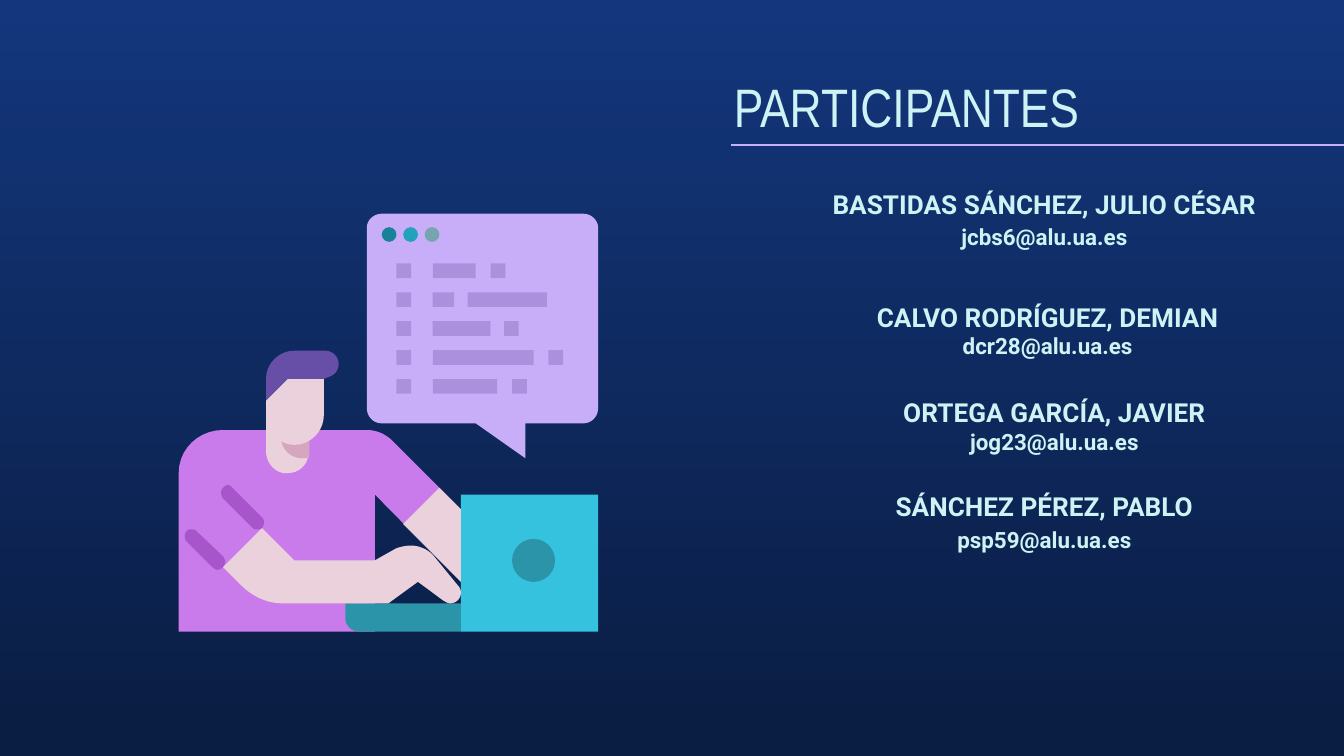
import pptx
import pptx.dml.color
import pptx.enum.shapes
import pptx.enum.text
import pptx.oxml
import pptx.oxml.ns
import pptx.util
from pptx.dml.color import RGBColor
from pptx.util import Inches

NAVY_TOP = RGBColor(0x13, 0x36, 0x7C)
NAVY_BOTTOM = RGBColor(0x0A, 0x1D, 0x42)
PALE_CYAN = RGBColor(0xCE, 0xF3, 0xF5)
LILAC = RGBColor(0xC8, 0xAE, 0xF8)
CODE_PURPLE = RGBColor(0xAB, 0x90, 0xDE)
SHIRT = RGBColor(0xCA, 0x7B, 0xEB)
SLEEVE = RGBColor(0xA8, 0x55, 0xCB)
SKIN = RGBColor(0xEA, 0xD1, 0xDC)
SKIN_SHADE = RGBColor(0xD5, 0xA6, 0xBD)
HAIR = RGBColor(0x67, 0x4E, 0xA7)
LAPTOP = RGBColor(0x35, 0xC2, 0xDF)
LAPTOP_SHADE = RGBColor(0x2B, 0x94, 0xA9)
WINDOW_BUTTONS = [RGBColor(0x19, 0x82, 0x98), RGBColor(0x22, 0xA2, 0xBC), RGBColor(0x76, 0xA5, 0xAF)]

SHIRT_OUTLINE = [(1.66, 3.2), (1.48, 3.2, 1.33, 3.34, 1.33, 3.52), (1.33, 4.7), (2.79, 4.7), (2.79, 3.68),
                 (3.43, 4.33), (3.43, 3.79), (2.92, 3.28), (2.87, 3.23, 2.8, 3.2, 2.73, 3.2)]
LOWER_SLEEVE = [(1.43, 3.94), (1.41, 3.94, 1.4, 3.94, 1.39, 3.95), (1.37, 3.97, 1.37, 4.01, 1.39, 4.03),
                (1.58, 4.22), (1.59, 4.23, 1.61, 4.24, 1.62, 4.24), (1.63, 4.24, 1.65, 4.23, 1.66, 4.22),
                (1.68, 4.2, 1.68, 4.17, 1.66, 4.14), (1.46, 3.95), (1.45, 3.94, 1.44, 3.94, 1.43, 3.94)]
UPPER_SLEEVE = [(1.7, 3.61), (1.68, 3.61, 1.67, 3.62, 1.66, 3.63), (1.64, 3.65, 1.64, 3.68, 1.66, 3.71),
                (1.88, 3.93), (1.89, 3.94, 1.9, 3.94, 1.91, 3.94), (1.93, 3.94, 1.94, 3.94, 1.95, 3.93),
                (1.97, 3.9, 1.97, 3.87, 1.95, 3.85), (1.73, 3.63), (1.72, 3.62, 1.71, 3.61, 1.7, 3.61)]
LAPTOP_BASE = [(2.57, 4.49), (2.57, 4.6), (2.57, 4.66, 2.62, 4.7, 2.68, 4.7), (3.43, 4.7), (3.43, 4.49)]
NECK = [(1.98, 3.04), (1.98, 3.36), (1.98, 3.44, 2.04, 3.51, 2.11, 3.52), (2.12, 3.52, 2.13, 3.52, 2.14, 3.52),
        (2.21, 3.52, 2.27, 3.48, 2.29, 3.41), (2.3, 3.4, 2.3, 3.38, 2.3, 3.36), (2.3, 3.04)]
NECK_SHADE = [(2.09, 3.04), (2.09, 3.25), (2.09, 3.34, 2.16, 3.41, 2.25, 3.41), (2.29, 3.41),
              (2.3, 3.4, 2.3, 3.38, 2.3, 3.36), (2.3, 3.04)]
NEAR_ARM = [(1.95, 3.93), (1.66, 4.22), (1.8, 4.36), (1.88, 4.44, 1.99, 4.49, 2.1, 4.49), (2.89, 4.49),
            (3.11, 4.33), (3.3, 4.47), (3.32, 4.48, 3.33, 4.49, 3.35, 4.49), (3.4, 4.49, 3.43, 4.45, 3.43, 4.41),
            (3.43, 4.39, 3.42, 4.37, 3.41, 4.36), (3.23, 4.14), (3.19, 4.09, 3.12, 4.06, 3.06, 4.06),
            (3.02, 4.06, 2.98, 4.07, 2.95, 4.08), (2.79, 4.17), (2.19, 4.17)]
FAR_ARM = [(3.27, 3.63), (3, 3.9), (3.43, 4.33), (3.43, 3.79)]
SPEECH_WINDOW = [(2.84, 1.59), (2.78, 1.59, 2.73, 1.64, 2.73, 1.69), (2.73, 3.04),
                 (2.73, 3.1, 2.78, 3.15, 2.84, 3.15), (3.54, 3.15), (3.91, 3.41), (3.91, 3.15), (4.34, 3.15),
                 (4.4, 3.15, 4.45, 3.1, 4.45, 3.04), (4.45, 1.69), (4.45, 1.64, 4.4, 1.59, 4.34, 1.59)]
FACE = [(2.14, 2.82), (1.98, 2.98), (1.98, 3.09), (1.98, 3.21, 2.08, 3.31, 2.19, 3.31),
        (2.31, 3.31, 2.41, 3.21, 2.41, 3.09), (2.41, 2.82)]
HAIR_OUTLINE = [(2.19, 2.61), (2.08, 2.61, 1.98, 2.7, 1.98, 2.82), (1.98, 2.98), (2.14, 2.82), (2.41, 2.82),
                (2.46, 2.8), (2.5, 2.78, 2.52, 2.75, 2.52, 2.71), (2.52, 2.65, 2.47, 2.61, 2.42, 2.61)]

BLOCK = 0.11
CODE_ROWS = [
    [(3.22, 0.32), (3.65, BLOCK)],
    [(3.22, 0.16), (3.48, 0.59)],
    [(3.22, 0.43), (3.75, BLOCK)],
    [(3.22, 0.75), (4.08, BLOCK)],
    [(3.22, 0.48), (3.81, BLOCK)],
]
PARTICIPANTS = [
    (5.84, 3.55, 0.91, "SÁNCHEZ PÉREZ, PABLO ", "psp59@alu.ua.es", " "),
    (5.89, 2.85, 0.64, "ORTEGA GARCÍA, JAVIER", "jog23@alu.ua.es", ""),
    (5.84, 2.14, 0.88, "CALVO RODRÍGUEZ, DEMIAN", "dcr28@alu.ua.es", ""),
    (5.84, 1.3, 0.67, "BASTIDAS SÁNCHEZ, JULIO CÉSAR ", "jcbs6@alu.ua.es", " "),
]


def add_run(paragraph, text, font="Roboto", size=14, bold=True, color=PALE_CYAN):
    run = paragraph.add_run()
    run.text = text
    run.font.name = font
    run.font.size = pptx.util.Pt(size)
    run.font.bold = bold
    run.font.color.rgb = color


def curve_points(start, curve, steps=10):
    x1, y1, x2, y2, x3, y3 = curve
    for step in range(1, steps + 1):
        t = step / steps
        u = 1 - t
        weights = (u ** 3, 3 * u * u * t, 3 * u * t * t, t ** 3)
        yield tuple(sum(weight * value for weight, value in zip(weights, values))
                    for values in ((start[0], x1, x2, x3), (start[1], y1, y2, y3)))


class SlideBuilder:
    def __init__(self, slide):
        self.slide = slide
        self.margin = Inches(0.1)
        self.illustration = None

    def background(self, top, bottom):
        fill = self.slide.background.fill
        fill.gradient()
        fill.gradient_angle = 270
        for stop, color in zip(fill.gradient_stops, (top, bottom)):
            stop.color.rgb = color

    def frame(self, shape, anchor, auto_size):
        frame = shape.text_frame
        frame.word_wrap = True
        frame.auto_size = auto_size
        frame.vertical_anchor = anchor
        frame.margin_left = frame.margin_right = self.margin
        frame.margin_top = frame.margin_bottom = self.margin
        return frame

    def title(self, text, left, top, width, height):
        shape = self.slide.shapes.title
        shape.left, shape.top, shape.width, shape.height = map(Inches, (left, top, width, height))
        frame = self.frame(shape, pptx.enum.text.MSO_ANCHOR.BOTTOM, pptx.enum.text.MSO_AUTO_SIZE.NONE)
        paragraph = frame.paragraphs[0]
        paragraph.alignment = pptx.enum.text.PP_ALIGN.LEFT
        add_run(paragraph, text, font="Arial Narrow", size=29, bold=False)

    def participant(self, left, top, height, name, email, ending):
        shape = self.slide.shapes.add_textbox(Inches(left), Inches(top), Inches(3.91), Inches(height))
        frame = self.frame(shape, pptx.enum.text.MSO_ANCHOR.TOP,
                           pptx.enum.text.MSO_AUTO_SIZE.SHAPE_TO_FIT_TEXT)
        name_paragraph, email_paragraph = frame.paragraphs[0], frame.add_paragraph()
        for paragraph in (name_paragraph, email_paragraph):
            paragraph.alignment = pptx.enum.text.PP_ALIGN.CENTER
        add_run(name_paragraph, name)
        add_run(email_paragraph, email, size=12)
        if ending:
            add_run(email_paragraph, ending)

    def rule(self, left, right, y):
        line = self.slide.shapes.add_connector(pptx.enum.shapes.MSO_CONNECTOR.STRAIGHT,
                                               Inches(left), Inches(y), Inches(right), Inches(y))
        line.line.color.rgb = LILAC
        line.line.width = pptx.util.Pt(0.75)
        properties = line._element.spPr
        properties.append(pptx.oxml.parse_xml(f"<a:effectLst {pptx.oxml.ns.nsdecls('a')}/>"))

    def start_illustration(self):
        self.illustration = self.slide.shapes.add_group_shape().shapes

    def paint(self, shape, color):
        shape.shadow.inherit = False
        shape.fill.solid()
        shape.fill.fore_color.rgb = color
        shape.line.fill.background()

    def outline(self, segments, color):
        points = [segments[0]]
        for segment in segments[1:]:
            points.extend([segment] if len(segment) == 2 else curve_points(points[-1], segment))
        corners = [(Inches(x), Inches(y)) for x, y in points]
        builder = self.illustration.build_freeform(*corners[0])
        builder.add_line_segments(corners[1:], close=True)
        self.paint(builder.convert_to_shape(), color)

    def rectangle(self, left, top, width, height, color):
        kind = pptx.enum.shapes.MSO_SHAPE.RECTANGLE
        self.paint(self.illustration.add_shape(kind, *map(Inches, (left, top, width, height))), color)

    def circle(self, left, top, size, color):
        kind = pptx.enum.shapes.MSO_SHAPE.OVAL
        self.paint(self.illustration.add_shape(kind, *map(Inches, (left, top, size, size))), color)


def main():
    presentation = pptx.Presentation()
    presentation.slide_width = Inches(10)
    presentation.slide_height = presentation.slide_width * 9 // 16
    builder = SlideBuilder(presentation.slides.add_slide(presentation.slide_layouts[5]))
    builder.background(NAVY_TOP, NAVY_BOTTOM)
    builder.title("PARTICIPANTES", 5.36, 0.47, 3.86, 0.66)
    builder.rule(5.44, 10.3, 1.08)
    for participant in PARTICIPANTS:
        builder.participant(*participant)

    builder.start_illustration()
    builder.outline(SHIRT_OUTLINE, SHIRT)
    builder.outline(LOWER_SLEEVE, SLEEVE)
    builder.outline(UPPER_SLEEVE, SLEEVE)
    builder.rectangle(3.43, 3.68, 1.02, 1.02, LAPTOP)
    for segments, color in ((LAPTOP_BASE, LAPTOP_SHADE), (NECK, SKIN), (NECK_SHADE, SKIN_SHADE),
                            (NEAR_ARM, SKIN), (FAR_ARM, SKIN)):
        builder.outline(segments, color)
    builder.circle(3.81, 4.01, 0.32, LAPTOP_SHADE)
    builder.outline(SPEECH_WINDOW, LILAC)
    row_step = (2.82 - 1.96) / (len(CODE_ROWS) - 1)
    for row, bars in enumerate(CODE_ROWS):
        for left, width in [(2.95, BLOCK)] + bars:
            builder.rectangle(left, 1.96 + row * row_step, width, BLOCK, CODE_PURPLE)
    builder.outline(FACE, SKIN)
    builder.outline(HAIR_OUTLINE, HAIR)
    for index, color in enumerate(WINDOW_BUTTONS):
        builder.circle(2.84 + index * 0.16, 1.69, BLOCK, color)
    presentation.save("out.pptx")


if __name__ == "__main__":
    main()
